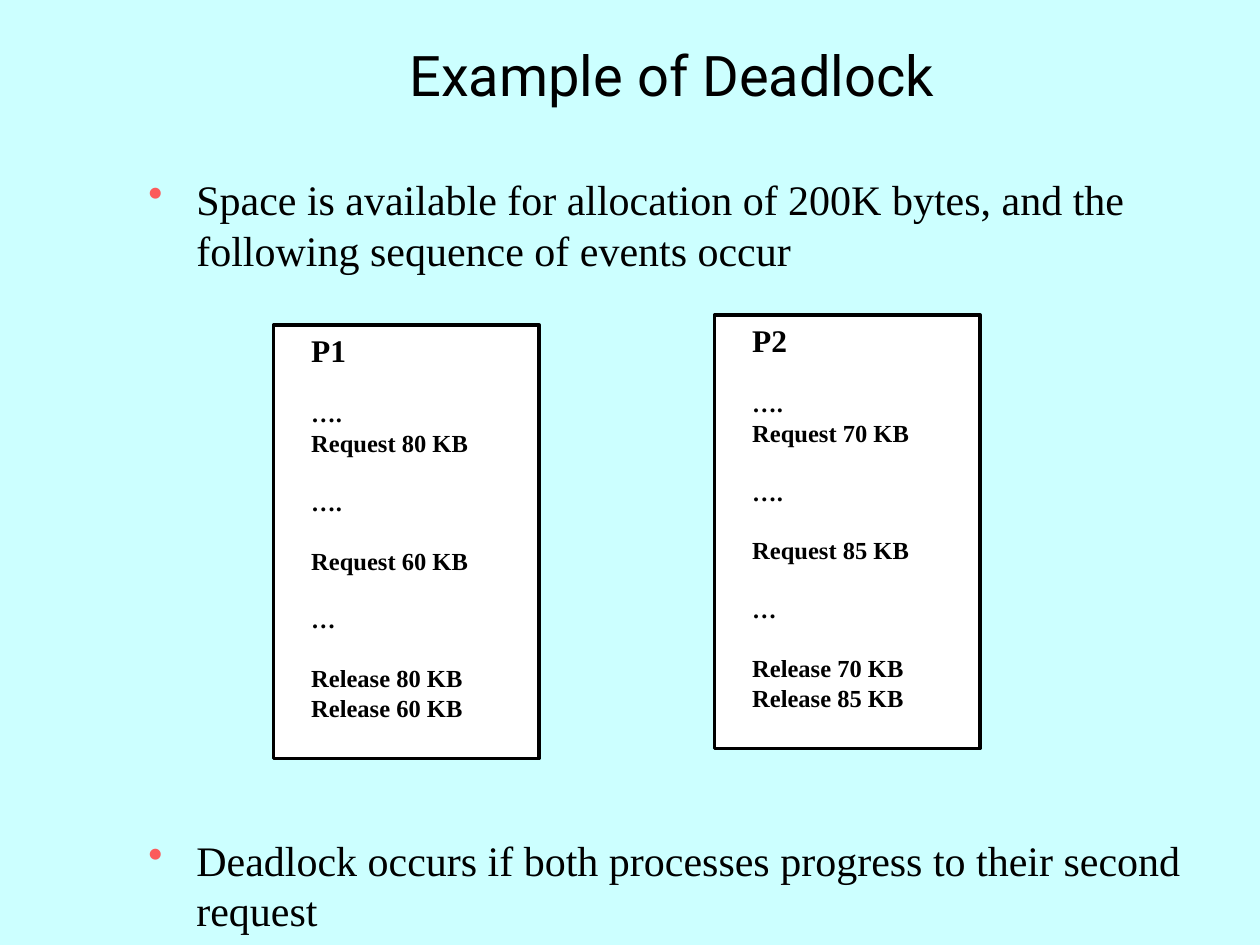
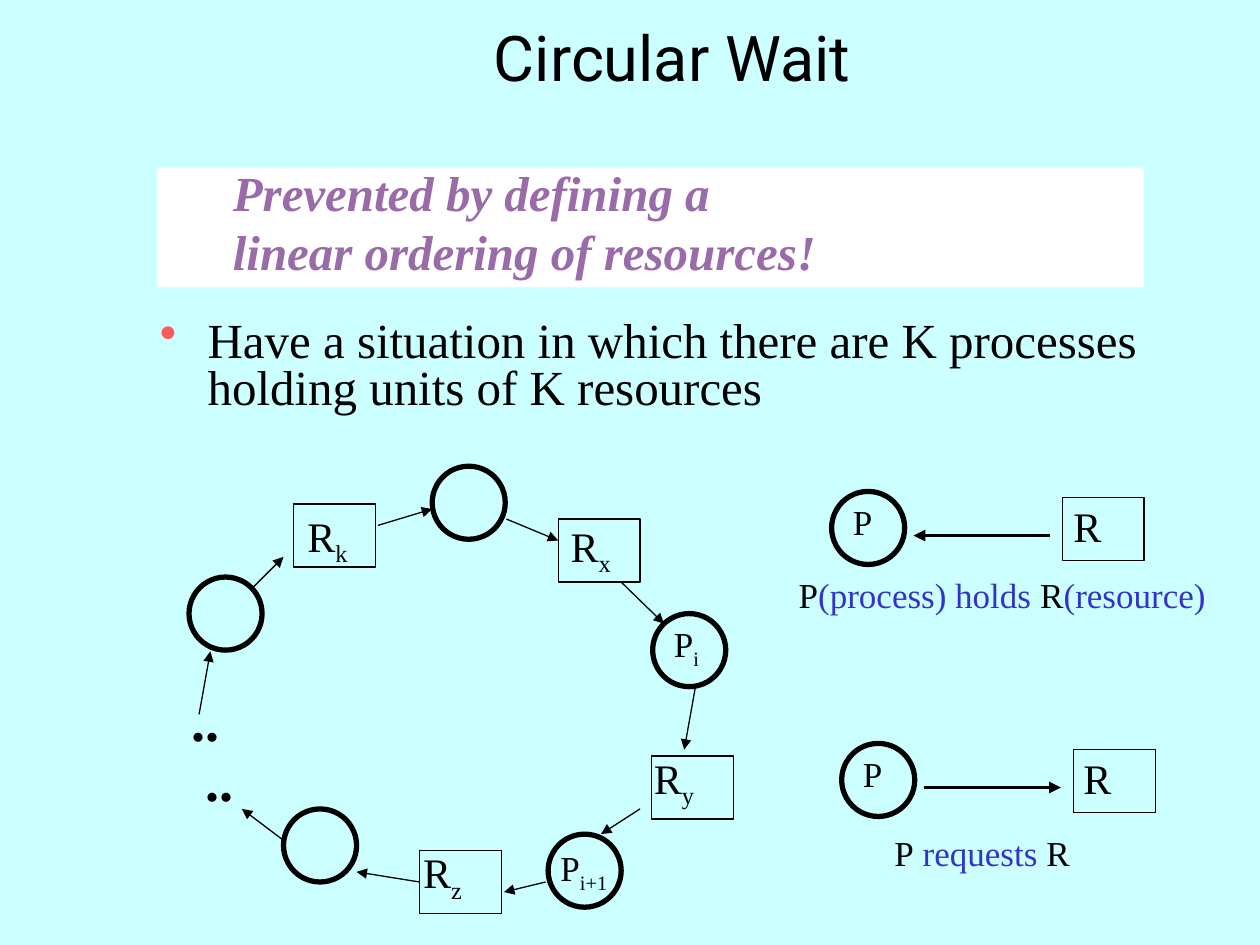
from pptx import Presentation
from pptx.dml.color import RGBColor
from pptx.enum.shapes import MSO_CONNECTOR, MSO_SHAPE
from pptx.enum.text import MSO_ANCHOR, MSO_AUTO_SIZE, PP_ALIGN
from pptx.oxml.ns import qn
from pptx.util import Inches, Pt
from lxml import etree

RECT, OVAL = MSO_SHAPE.RECTANGLE, MSO_SHAPE.OVAL
STRAIGHT = MSO_CONNECTOR.STRAIGHT
LEFT, CENTER = PP_ALIGN.LEFT, PP_ALIGN.CENTER
TOP, MIDDLE = MSO_ANCHOR.TOP, MSO_ANCHOR.MIDDLE
FIT_SHAPE = MSO_AUTO_SIZE.SHAPE_TO_FIT_TEXT

BACKGROUND, BLACK, WHITE = "CCFFFF", "000000", "FFFFFF"
BULLET, BLUE, PURPLE = "FB5B5B", "3333CC", "996BA8"
TITLE_FONT, BODY_FONT = "Roboto", "Times New Roman"

rgb = RGBColor.from_string


def write(sp, lines, size, font=BODY_FONT, color=BLACK, bold=False, italic=False,
          align=LEFT, anchor=TOP, wrap=True):
    """Fill a shape with paragraphs; each line is a tuple of run texts."""
    tf = sp.text_frame
    tf.word_wrap = wrap
    tf.vertical_anchor = anchor
    if not wrap:
        tf.auto_size = FIT_SHAPE
    for i, line in enumerate(lines):
        p = tf.paragraphs[0] if i == 0 else tf.add_paragraph()
        p.text = line[0]
        p.alignment = align
        for text in line[1:]:
            p.add_run().text = text
        for r in p.runs:
            r.font.name = font
            r.font.size = Pt(size)
            r.font.bold = bold
            r.font.italic = italic
            r.font.color.rgb = rgb(color)
    return tf


def add_bullet(p):
    pPr = p._p.get_or_add_pPr()
    pPr.set("marL", str(Inches(0.38)))
    pPr.set("indent", str(-Inches(0.38)))
    color = etree.SubElement(pPr, qn("a:buClr"))
    etree.SubElement(color, qn("a:srgbClr"), val=BULLET)
    etree.SubElement(pPr, qn("a:buChar"), char="•")


prs = Presentation()
prs.slide_width, prs.slide_height = Inches(10), Inches(7.5)

# Shared background and title
slides = []
for title, size, height in [("Example of Deadlock", 32, 0.83), ("Circular Wait", 36, 0.56)]:
    s = prs.slides.add_slide(prs.slide_layouts[6])
    s.background.fill.solid()
    s.background.fill.fore_color.rgb = rgb(BACKGROUND)
    sp = s.shapes.add_textbox(Inches(0.92), Inches(0.17), Inches(8.83), Inches(height))
    write(sp, [(title,)], size, font=TITLE_FONT, align=CENTER, anchor=MIDDLE)
    slides.append(s)
deadlock, circular = slides

# Slide 1: bullets above and below the processes
sp = deadlock.shapes.add_textbox(Inches(1.08), Inches(1.33), Inches(8.58), Inches(6.17))
tf = write(sp, [
    ("Space is available for allocation of 200K bytes, and the following sequence of events occur",),
    ("Deadlock occurs if both processes progress to their second request",),
], 24)
for p in tf.paragraphs:
    add_bullet(p)
tf.paragraphs[1].space_before = Pt(320)

# Slide 1: the two processes
for name, x, y, first, second in [("P1", 2.17, 2.58, 80, 60), ("P2", 5.67, 2.5, 70, 85)]:
    sp = deadlock.shapes.add_shape(RECT, Inches(x), Inches(y), Inches(2.11), Inches(3.44))
    sp.shadow.inherit = False
    sp.fill.solid()
    sp.fill.fore_color.rgb = rgb(WHITE)
    sp.line.color.rgb = rgb(BLACK)
    sp.line.width = Pt(2)
    steps = ["….", f"Request {first} KB", "….", f"Request {second} KB", "…",
             f"Release {first} KB", f"Release {second} KB"]
    tf = write(sp, [(name,)] + [(step,) for step in steps], 14, bold=True)
    tf.margin_left = Inches(0.3)
    tf.paragraphs[0].runs[0].font.size = Pt(18)
    for i in (1, 3, 4, 5, 6):
        tf.paragraphs[i].space_before = Pt(16.8)

# Slide 2: prevention banner
sp = circular.shapes.add_shape(RECT, Inches(1.25), Inches(1.33), Inches(7.83), Inches(0.95))
sp.shadow.inherit = False
sp.fill.solid()
sp.fill.fore_color.rgb = rgb(WHITE)
sp.line.fill.background()
tf = write(sp, [("Prevented by defining a",), ("linear ordering of resources!",)], 28,
           color=PURPLE, bold=True, italic=True)
for p in tf.paragraphs:
    p._p.get_or_add_pPr().set("marL", str(Inches(0.5)))
    p.line_spacing = 0.8
tf.paragraphs[1].space_before = Pt(7)

# Slide 2: bullet
sp = circular.shapes.add_textbox(Inches(1.17), Inches(2.5), Inches(8.5), Inches(1))
tf = write(sp, [("Have a situation in which there are K processes holding units of K resources",)], 28)
add_bullet(tf.paragraphs[0])
tf.paragraphs[0].line_spacing = 0.8

# Slide 2: process circles and resource boxes, ring first, then the legend
processes = [(3.43, 3.7), (1.5, 4.58), (2.25, 6.42), (4.35, 6.62), (5.18, 4.87),
             (6.6, 3.9), (6.68, 5.9)]
resources = [(2.33, 4), (4.43, 4.12), (5.17, 6), (3.33, 6.75), (8.43, 3.95), (8.52, 5.95)]
nodes = {}
for kind, places, w, h, weight in [(OVAL, processes, 0.58, 0.58, 3),
                                   (RECT, resources, 0.65, 0.5, 0.75)]:
    for x, y in places:
        sp = circular.shapes.add_shape(kind, Inches(x), Inches(y), Inches(w), Inches(h))
        sp.shadow.inherit = False
        sp.fill.background()
        sp.line.color.rgb = rgb(BLACK)
        sp.line.width = Pt(weight)
        nodes[x, y] = sp

# Slide 2: arrows, clockwise round the ring, then the legend
arrows = [
    (3, 4.17, 3.43, 4.04, 0.75), (4.02, 4.12, 4.43, 4.29, 0.75),
    (4.93, 4.62, 5.27, 4.95, 0.75), (5.52, 5.45, 5.43, 5.95, 0.75),
    (5.08, 6.42, 4.77, 6.62, 0.75), (4.33, 7, 4, 7.08, 0.75),
    (3.33, 7, 2.83, 6.92, 0.75), (2.25, 6.67, 1.92, 6.42, 0.75),
    (1.58, 5.67, 1.67, 5.17, 0.75), (2, 4.67, 2.25, 4.42, 0.75),
    (8.33, 4.25, 7.25, 4.25, 2.25), (7.33, 6.25, 8.42, 6.25, 2.25),
]
for x1, y1, x2, y2, weight in arrows:
    cx = circular.shapes.add_connector(STRAIGHT, Inches(x1), Inches(y1), Inches(x2), Inches(y2))
    cx.line.color.rgb = rgb(BLACK)
    cx.line.width = Pt(weight)
    etree.SubElement(cx.line._get_or_add_ln(), qn("a:tailEnd"), type="triangle")
    etree.SubElement(cx._element.spPr, qn("a:effectLst"))
    if (x1, y1) == (3.33, 7):
        cx.begin_connect(nodes[3.33, 6.75], 1)

# Slide 2: node labels with subscripts
labels = [
    (("R", "k"), 2.34, 4, 0.52, 0.56, 24), (("R", "x"), 4.43, 4.08, 0.52, 0.56, 24),
    (("R", "y"), 5.09, 5.92, 0.52, 0.56, 24), (("R", "z"), 3.26, 6.67, 0.51, 0.56, 24),
    (("P", "i"), 5.25, 4.89, 0.4, 0.48, 20), (("P", "i+1"), 4.35, 6.67, 0.57, 0.48, 20),
    (("P",), 6.67, 3.92, 0.35, 0.44, 20), (("R",), 8.42, 3.92, 0.42, 0.5, 24),
    (("P",), 6.75, 5.92, 0.35, 0.44, 20), (("R",), 8.5, 5.92, 0.42, 0.5, 24),
]
for label, x, y, w, h, size in labels:
    sp = circular.shapes.add_textbox(Inches(x), Inches(y), Inches(w), Inches(h))
    tf = write(sp, [label], size, wrap=False)
    for r in tf.paragraphs[0].runs[1:]:
        r._r.get_or_add_rPr().set("baseline", "-25000")

# Slide 2: legend captions, every second run in blue
captions = [
    (("P", "(process) holds ", "R", "(resource)"), 6.24, 4.5, 3.43),
    (("P", " requests ", "R"), 7, 6.55, 1.59),
]
for caption, x, y, w in captions:
    sp = circular.shapes.add_textbox(Inches(x), Inches(y), Inches(w), Inches(0.44))
    tf = write(sp, [caption], 20, wrap=False)
    for r in tf.paragraphs[0].runs[1::2]:
        r.font.color.rgb = rgb(BLUE)

# Slide 2: dots for the rest of the ring
sp = circular.shapes.add_textbox(Inches(1.42), Inches(5.45), Inches(0.53), Inches(1.06))
tf = write(sp, [("..",), ("..",)], 32, bold=True, wrap=False)
for p in tf.paragraphs:
    p.line_spacing = 0.9
tf.paragraphs[1]._p.get_or_add_pPr().set("marL", str(Inches(0.11)))

prs.save("out.pptx")
